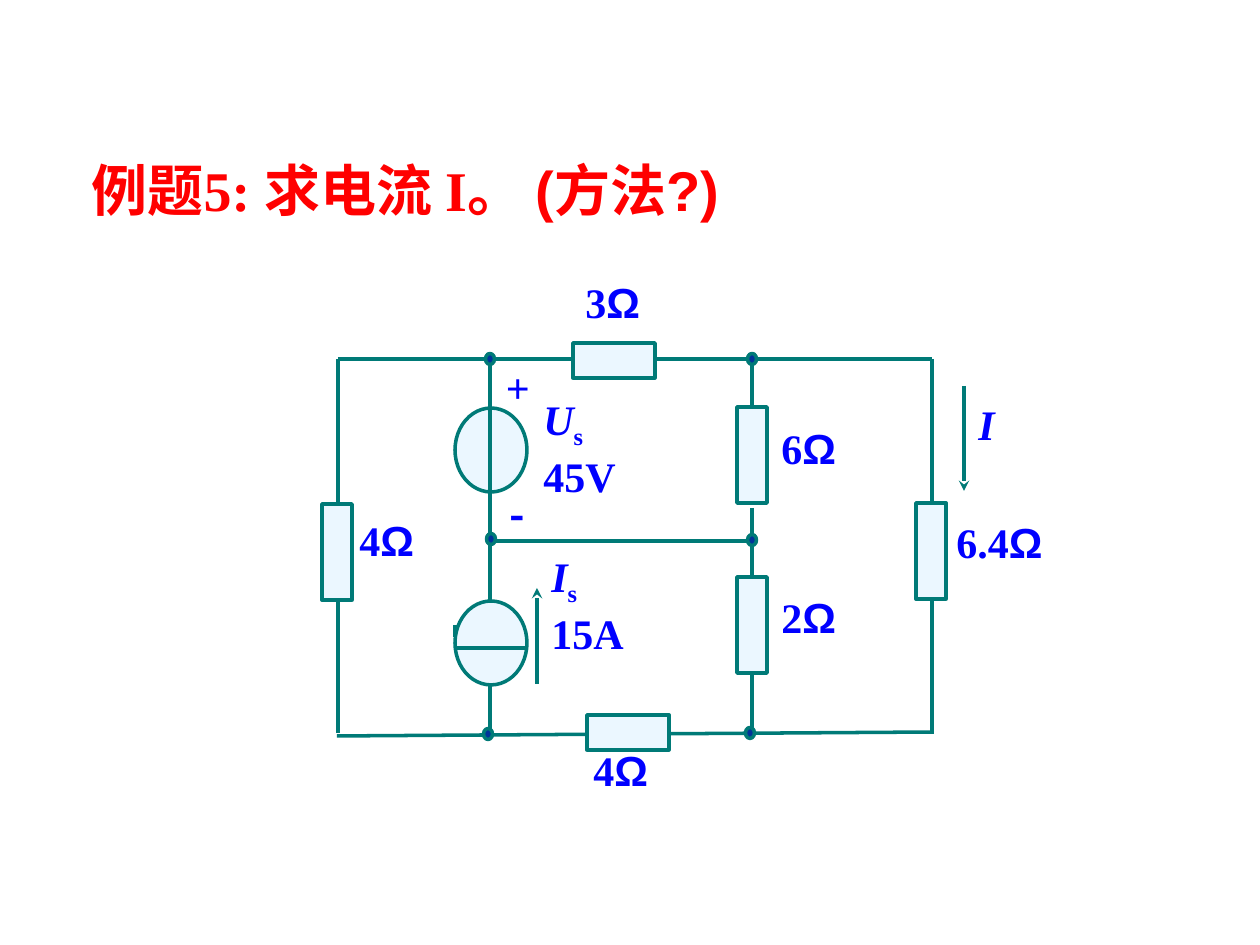
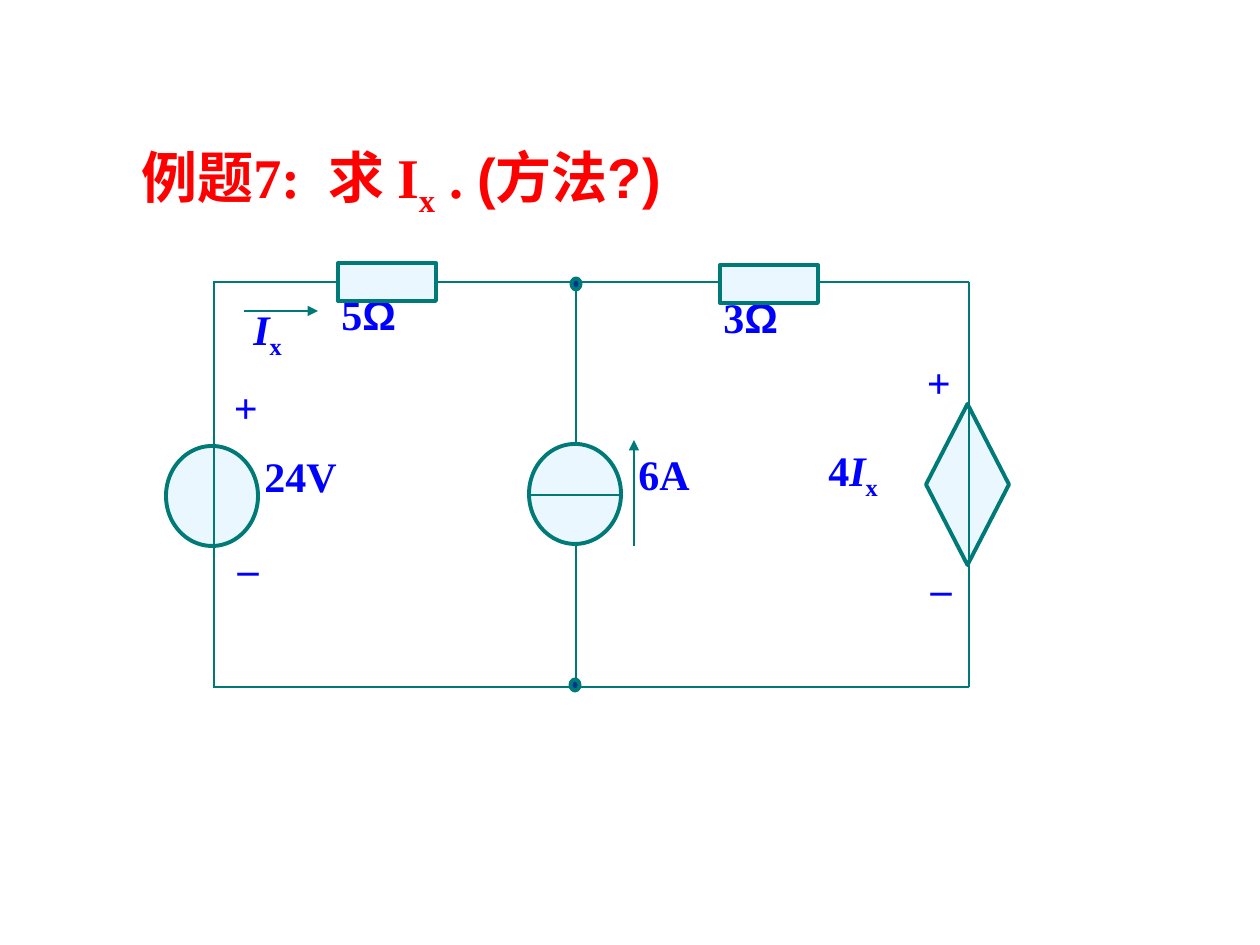
"""Build two circuit exercise slides with titles, wires, components and labels."""
import dataclasses

import lxml.etree
import pptx
import pptx.dml.color
import pptx.enum.shapes
import pptx.enum.text
import pptx.oxml.ns
import pptx.util

SHAPE = pptx.enum.shapes.MSO_SHAPE
ALIGN = pptx.enum.text.PP_ALIGN
ANCHOR = pptx.enum.text.MSO_ANCHOR


@dataclasses.dataclass(frozen=True)
class Theme:
    title: str = "FF0000"
    label: str = "0000FF"
    wire: str = "007A77"
    body: str = "EBF7FF"
    node: str = "003399"
    title_size: int = 32
    label_size: int = 24
    serif: str = "Times New Roman"
    sans: str = "Arial"
    chinese: str = "Noto Sans CJK SC"


THEME = Theme()
EMU_PER_PX = 914400 / 126
SLIDE_SIZE = (1260, 945)
NODE_SIZE = (9, 11)
SIGN_SIZE = (47, 63)

PLAIN = {}
ITALIC = {"italic": True}
SUB = {"sub": True}
SANS = {"font": THEME.sans}
CHINESE = {"font": THEME.chinese}


def ohms(value):
    """Return the one paragraph of a resistance label."""
    return [[(value, PLAIN), ("Ω", SANS)]]


CIRCUITS = [
    {
        "title": ((79, 149, 761, 147), [[("例题5: 求电流 I。 ", PLAIN), ("(方法?)", SANS)]]),
        "wire_width": 2,
        "body_width": 2,
        "arrowhead": "stealth",
        "labels": [
            ((531, 387, 116, 121), [[("U", ITALIC), ("s", SUB)], [("45V", PLAIN)]]),
            ((539, 544, 116, 121), [[("I", ITALIC), ("s", SUB)], [("15A", PLAIN)]]),
            ((573, 270, 105, 63), ohms("3")),
            ((347, 508, 97, 63), ohms("4")),
            ((769, 416, 100, 63), ohms("6")),
            ((769, 585, 100, 63), ohms("2")),
            ((581, 738, 100, 63), ohms("4")),
            ((944, 510, 130, 63), ohms("6.4")),
            ((966, 392, 53, 63), [[("I", ITALIC)]]),
        ],
        "signs": [((517, 387), "+", PLAIN), ((517, 514), "-", CHINESE)],
        "wires": [
            (338, 359, 932, 359), (338, 359, 338, 733), (337, 736, 934, 732),
            (490, 359, 490, 733), (752, 359, 752, 407), (752, 508, 752, 733),
            (490, 541, 752, 541), (932, 359, 932, 733),
        ],
        "arrows": [(964, 386, 964, 491), (537, 684, 537, 588)],
        "sources": [(SHAPE.OVAL, (455, 408, 72, 84)), (SHAPE.OVAL, (455, 601, 72, 84))],
        "source_marks": [(490, 408, 490, 493), (455, 648, 527, 648), (455, 637, 455, 625)],
        "resistors": {
            (82, 35): [(573, 343), (587, 715)],
            (30, 96): [(322, 504), (737, 407), (737, 577), (916, 503)],
        },
        "nodes": [(490, 359), (491, 539), (488, 734), (752, 359), (752, 540), (750, 733)],
    },
    {
        "title": (
            (129, 136, 653, 89),
            [[("例题7:  求 I", PLAIN), ("x", SUB), (" . ", PLAIN), ("(方法?)", SANS)]],
        ),
        "wire_width": 1.5,
        "body_width": 2.25,
        "arrowhead": "triangle",
        "labels": [
            ((252, 444, 151, 63), [[("24V", PLAIN)]]),
            ((626, 442, 135, 63), [[("6A", PLAIN)]]),
            ((711, 285, 136, 63), ohms("3")),
            ((329, 282, 125, 63), ohms("5")),
            ((241, 297, 116, 71), [[("I", ITALIC), ("x", SUB)]]),
            ((816, 438, 132, 71), [[("4", PLAIN), ("I", ITALIC), ("x", SUB)]]),
        ],
        "signs": [
            ((938, 382), "+", PLAIN), ((941, 588), "–", PLAIN),
            ((245, 407), "+", PLAIN), ((248, 568), "–", PLAIN),
        ],
        "wires": [
            (214, 281, 214, 688), (214, 282, 969, 282), (969, 282, 969, 687),
            (214, 687, 969, 687), (576, 282, 576, 687),
        ],
        "arrows": [(634, 546, 634, 440), (244, 311, 318, 311)],
        "sources": [
            (SHAPE.OVAL, (166, 446, 92, 100)),
            (SHAPE.OVAL, (529, 444, 92, 100)),
            (SHAPE.DIAMOND, (926, 404, 83, 161)),
        ],
        "source_marks": [(214, 444, 214, 552), (529, 495, 621, 495), (969, 404, 969, 578)],
        "resistors": {(98, 38): [(338, 263), (720, 265)]},
        "nodes": [(575, 685), (576, 284)],
    },
]


def px(lengths):
    """Turn pixel lengths into EMU."""
    return [pptx.util.Emu(round(length * EMU_PER_PX)) for length in lengths]


def rgb(colour):
    """Turn a hex string into a colour."""
    return pptx.dml.color.RGBColor.from_string(colour)


def centred(centre, size):
    """Return the box of a size around a centre."""
    return (centre[0] - size[0] / 2, centre[1] - size[1] / 2, *size)


def write(slide, box, paragraphs, size=THEME.label_size, colour=THEME.label,
          align=ALIGN.LEFT, anchor=ANCHOR.TOP, wrap=True):
    """Add a text box whose paragraphs are lists of (text, style) runs."""
    frame = slide.shapes.add_textbox(*px(box)).text_frame
    frame.word_wrap = wrap
    frame.vertical_anchor = anchor
    for index, pieces in enumerate(paragraphs):
        paragraph = frame.add_paragraph() if index else frame.paragraphs[0]
        paragraph.alignment = align
        for text, style in pieces:
            run = paragraph.add_run()
            run.text = text
            run.font.size = pptx.util.Pt(size)
            run.font.bold = True
            run.font.italic = style.get("italic", False)
            run.font.color.rgb = rgb(colour)
            run.font.name = style.get("font", THEME.serif)
            properties = run._r.get_or_add_rPr()
            east_asian = lxml.etree.SubElement(properties, pptx.oxml.ns.qn("a:ea"))
            east_asian.set("typeface", THEME.chinese)
            if style.get("sub"):
                properties.set("baseline", "-25000")


def connect(slide, ends, width, arrowhead=None):
    """Draw a wire, with an arrowhead at its end if one is named."""
    wire = slide.shapes.add_connector(pptx.enum.shapes.MSO_CONNECTOR.STRAIGHT, *px(ends))
    wire.line.color.rgb = rgb(THEME.wire)
    wire.line.width = pptx.util.Pt(width)
    if arrowhead:
        tail = lxml.etree.SubElement(wire.line._get_or_add_ln(), pptx.oxml.ns.qn("a:tailEnd"))
        tail.set("type", arrowhead)
    lxml.etree.SubElement(wire._element.spPr, pptx.oxml.ns.qn("a:effectLst"))


def place(slide, kind, box, width, fill=THEME.body):
    """Draw a filled component outlined in the wire colour."""
    component = slide.shapes.add_shape(kind, *px(box))
    component.shadow.inherit = False
    component.fill.solid()
    component.fill.fore_color.rgb = rgb(fill)
    component.line.color.rgb = rgb(THEME.wire)
    component.line.width = pptx.util.Pt(width)


def draw(slide, circuit):
    """Draw one exercise from back to front."""
    wire_width, body_width = circuit["wire_width"], circuit["body_width"]
    write(slide, *circuit["title"], size=THEME.title_size, colour=THEME.title)
    for box, paragraphs in circuit["labels"]:
        write(slide, box, paragraphs)
    for centre, sign, style in circuit["signs"]:
        write(slide, centred(centre, SIGN_SIZE), [[(sign, style)]],
              align=ALIGN.CENTER, anchor=ANCHOR.MIDDLE, wrap=False)
    for ends in circuit["wires"]:
        connect(slide, ends, wire_width)
    for ends in circuit["arrows"]:
        connect(slide, ends, wire_width, circuit["arrowhead"])
    for kind, box in circuit["sources"]:
        place(slide, kind, box, body_width)
    for ends in circuit["source_marks"]:
        connect(slide, ends, wire_width)
    for size, corners in circuit["resistors"].items():
        for corner in corners:
            place(slide, SHAPE.RECTANGLE, (*corner, *size), body_width)
    for centre in circuit["nodes"]:
        place(slide, SHAPE.OVAL, centred(centre, NODE_SIZE), body_width, THEME.node)


def main():
    """Build and save the presentation."""
    deck = pptx.Presentation()
    deck.slide_width, deck.slide_height = px(SLIDE_SIZE)
    for circuit in CIRCUITS:
        draw(deck.slides.add_slide(deck.slide_layouts[6]), circuit)
    deck.save("out.pptx")


if __name__ == "__main__":
    main()
